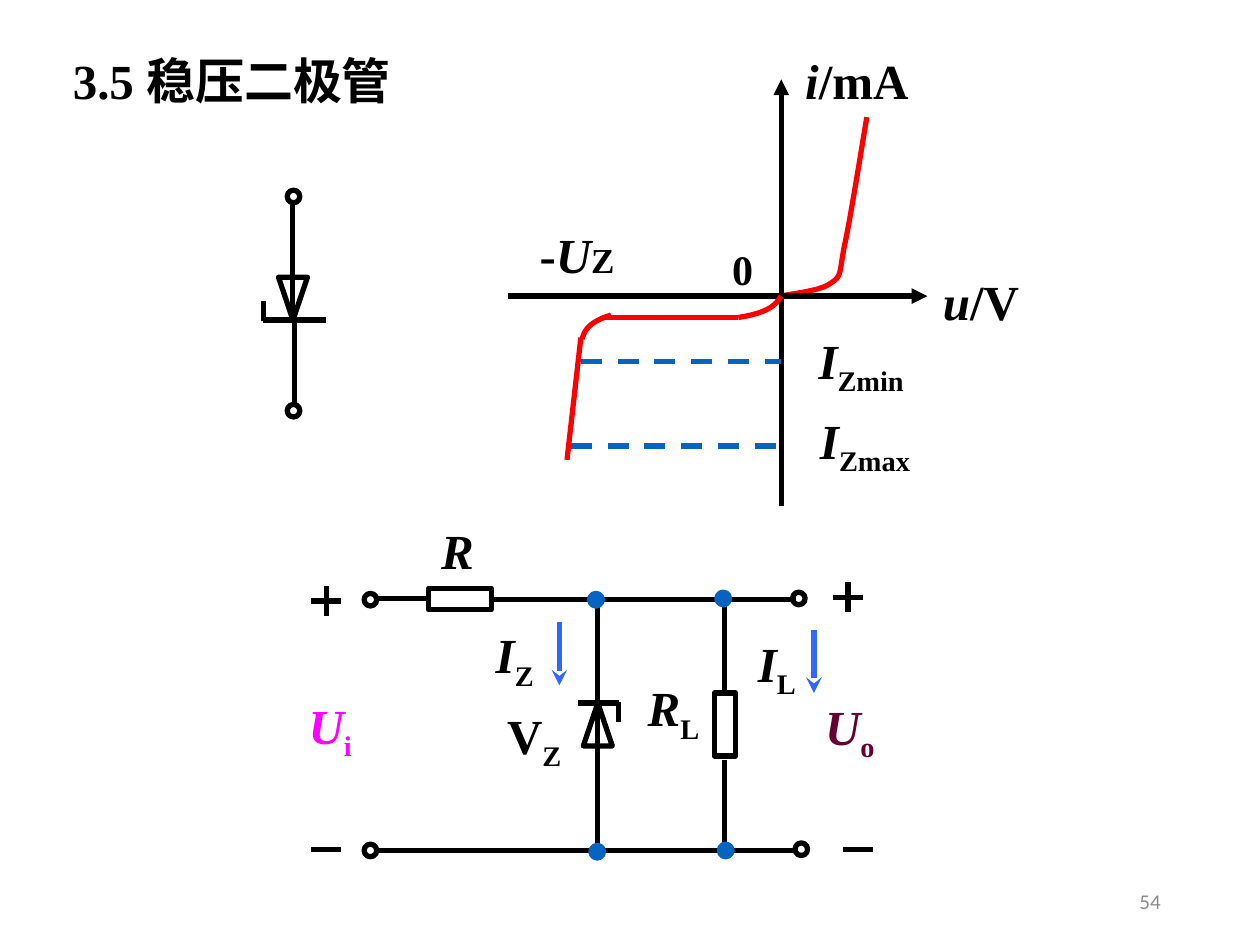
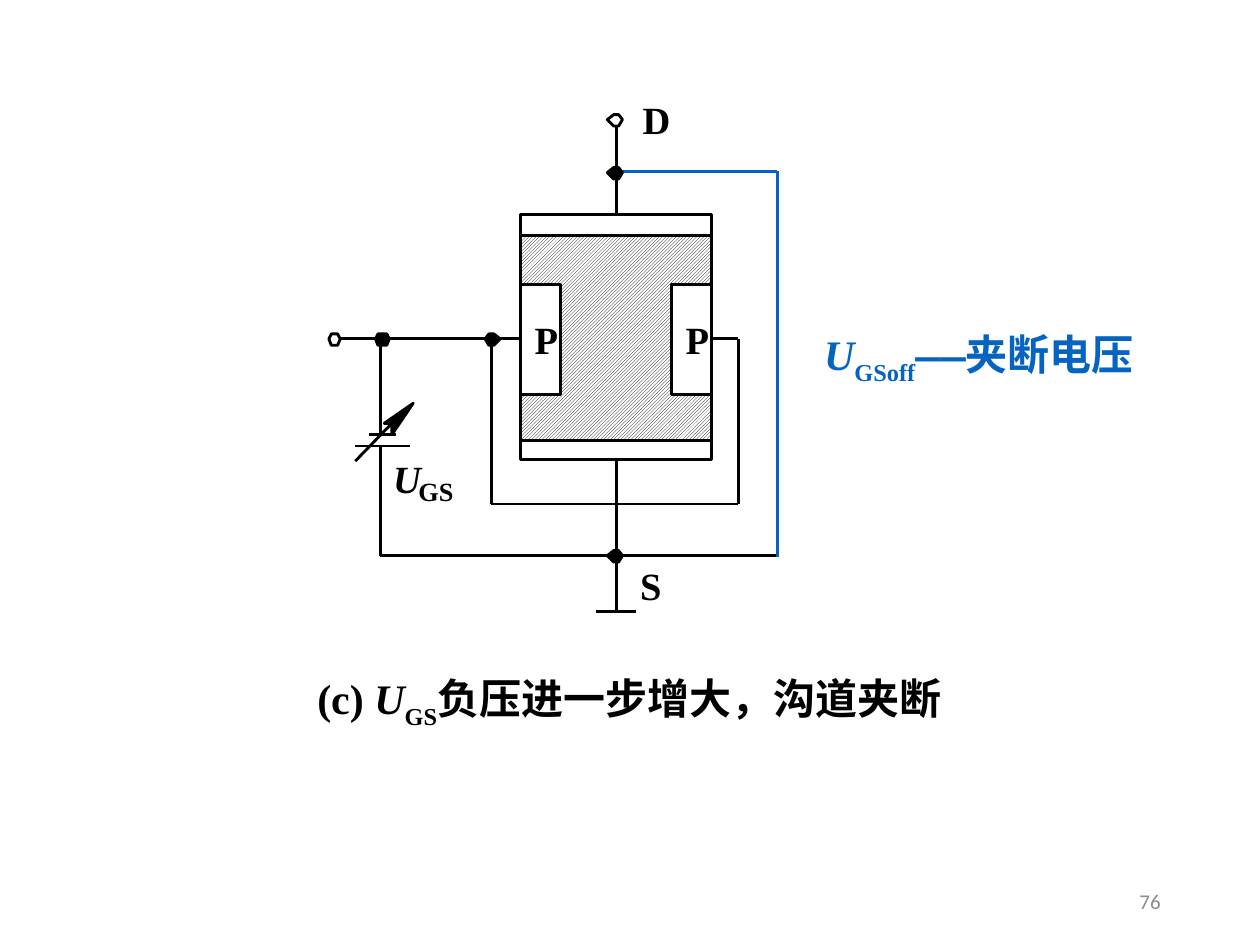
from dataclasses import dataclass

from lxml import etree
from pptx import Presentation
from pptx import util as u
from pptx.dml.color import RGBColor
from pptx.enum import dml, shapes, text
from pptx.oxml import ns

PX = 9144  # 100 px to the inch


@dataclass(frozen=True)
class Theme:
    ink: str = "000000"
    paper: str = "FFFFFF"
    accent: str = "0563C1"
    curve: str = "FF0000"
    current: str = "3366FF"
    input: str = "FF00FF"
    output: str = "660033"
    muted: str = "8C8C8C"
    serif: str = "Times New Roman"
    dash_font: str = "Courier New"
    sans: str = "Calibri"
    heading: int = 28
    body: int = 24
    pin: int = 22
    small: int = 20
    index: int = 15
    footer: int = 12
    bold_line: float = 3
    thin_line: float = 1.63
    link_line: float = 1.5


T = Theme()
ITALIC = {"italic": True}
SUB = {"baseline": -25000}
ALIGN = {"left": text.PP_ALIGN.LEFT, "center": text.PP_ALIGN.CENTER,
         "right": text.PP_ALIGN.RIGHT}


def rgb(color):
    return RGBColor.from_string(color)


def symbol(letter, index):
    """Runs of an italic quantity with a subscript."""
    return [(letter, ITALIC), (index, SUB)]


def bezier(start, *segments, steps=12):
    """Points along joined cubic curves, each given as x1, y1, x2, y2, x, y."""
    points = [start]
    for x1, y1, x2, y2, x3, y3 in segments:
        x0, y0 = points[-1]
        for t in (n / steps for n in range(1, steps + 1)):
            s = 1 - t
            weights = s ** 3, 3 * s * s * t, 3 * s * t * t, t ** 3
            points.append((sum(w * x for w, x in zip(weights, (x0, x1, x2, x3))),
                           sum(w * y for w, y in zip(weights, (y0, y1, y2, y3)))))
    return points


class Region:
    """A box on a slide; all drawing is relative to its top left corner."""

    def __init__(self, slide, box, weight=T.bold_line):
        self.shapes = slide.shapes
        self.left, self.top, self.width, self.height = box
        self.weight = weight

    def at(self, x, y):
        return round((self.left + x) * PX), round((self.top + y) * PX)

    def frame(self, x, y, w, h):
        return *self.at(x, y), w * PX, h * PX

    def stroke(self, item, color, weight=None):
        item.line.color.rgb = rgb(color)
        item.line.width = u.Pt(weight or self.weight)

    def wire(self, x1, y1, x2, y2, color=T.ink, weight=None, dash=None, arrow=None):
        line = self.shapes.add_connector(
            shapes.MSO_CONNECTOR.STRAIGHT, *self.at(x1, y1), *self.at(x2, y2))
        self.stroke(line, color, weight)
        if dash:
            line.line.dash_style = dash
        properties = line._element.spPr
        if arrow:
            etree.SubElement(properties.find(ns.qn("a:ln")), ns.qn("a:tailEnd"), type=arrow)
        etree.SubElement(properties, ns.qn("a:effectLst"))

    def finish(self, item, fill, color):
        item.shadow.inherit = False
        if fill:
            item.fill.solid()
            item.fill.fore_color.rgb = rgb(fill)
        else:
            item.fill.background()
        self.stroke(item, color)
        return item

    def shape(self, kind, x, y, w, h, fill=None, color=T.ink):
        item = self.shapes.add_shape(kind, *self.frame(x, y, w, h))
        return self.finish(item, fill, color)

    def rect(self, *box, fill=None):
        return self.shape(shapes.MSO_SHAPE.RECTANGLE, *box, fill=fill)

    def circle(self, x, y, fill=None):
        return self.shape(shapes.MSO_SHAPE.OVAL, x, y, 10, 10, fill, fill or T.ink)

    def outline(self, points, fill=None, color=T.ink, close=False):
        start, *rest = [self.at(*point) for point in points]
        builder = self.shapes.build_freeform(*start)
        builder.add_line_segments(rest, close=close)
        self.finish(builder.convert_to_shape(), fill, color)

    def node(self, xs, y, fill=T.ink):
        """Six-sided joint with corners at the four given x positions."""
        a, b, c, d = xs
        self.outline([(a, y), (b, y - 4), (c, y - 4), (d, y), (c, y + 5), (b, y + 5)],
                     fill, close=True)

    def zener(self, x, y, hook, end, up):
        """Zener symbol with its tip at x, y and a bar from hook to end."""
        side = 1 if up else -1
        body = self.shape(shapes.MSO_SHAPE.ISOSCELES_TRIANGLE,
                          x - 11, y if up else y - 34, 23, 34)
        body.rotation = 0 if up else 180
        self.wire(hook, y, end, y)
        self.wire(hook, y - side, hook, y + side * 15)

    def label(self, x, y, w, h, runs, size=T.heading, color=T.ink, font=T.serif,
              bold=True, align="center", anchor="MIDDLE", wrap=False, inset=None,
              spacing=None, grow=True):
        box = self.shapes.add_textbox(*self.frame(x, y, w, h)).text_frame
        layout = {"word_wrap": wrap, "vertical_anchor": text.MSO_ANCHOR[anchor]}
        if grow:
            layout["auto_size"] = text.MSO_AUTO_SIZE.SHAPE_TO_FIT_TEXT
        if inset is not None:
            layout |= {f"margin_{side}": inset for side in ("left", "top", "right", "bottom")}
        for name, value in layout.items():
            setattr(box, name, value)
        paragraph = box.paragraphs[0]
        paragraph.alignment = ALIGN[align]
        if spacing:
            paragraph.line_spacing = spacing
        for words, changes in [(runs, {})] if isinstance(runs, str) else runs:
            run = paragraph.add_run()
            run.text = words
            run.font.color.rgb = rgb(color)
            look = {"name": font, "size": u.Pt(size), "bold": bold} | changes
            baseline = look.pop("baseline", None)
            for name, value in look.items():
                setattr(run.font, name, value)
            if baseline:
                run._r.get_or_add_rPr().set("baseline", str(baseline))


def title(slide, box, words):
    region = Region(slide, box)
    region.label(0, 0, region.width, region.height, words,
                 align="left", anchor="TOP", wrap=True)


def page_number(slide, number):
    Region(slide, (706, 695, 225, 40)).label(
        0, 0, 225, 40, str(number), T.footer, T.muted, T.sans, bold=False,
        align="right", wrap=True, grow=False)


def zener_symbol(slide, box):
    region = Region(slide, box)
    region.wire(23, 12, 23, 103)
    region.wire(25, 103, 25, 172)
    region.zener(23, 103, hook=0, end=region.width, up=False)
    for y in (170, 0):
        region.circle(19, y)


def characteristic(slide, box):
    """Current against voltage, the box holding both axes."""
    region = Region(slide, box)
    zero_x, zero_y = 217, 172
    region.outline(bezier((285, 30), (282, 47, 272, 111, 267, 133),
                          (263, 155, 265, 156, 256, 162),
                          (248, 168, 225, 170, zero_x, zero_y)), color=T.curve)
    region.wire(0, zero_y, region.width, zero_y, arrow="triangle")
    region.wire(zero_x, region.height, zero_x, 0, arrow="triangle")
    region.outline(bezier((zero_x, zero_y), (213, 178, 209, 185, 183, 189)), color=T.curve)
    region.wire(183, 189, 75, 189, T.curve)
    region.outline(bezier((59, 206), (61, 200, 63, 193, 82, 187)), color=T.curve)
    region.wire(58, 205, 47, 302, T.curve)
    for x, y in ((58, 224), (50, 291)):
        region.wire(x, y, zero_x, y, T.accent, dash=dml.MSO_LINE.DASH)
    region.label(226, -28, 102, 57, [("i", ITALIC), ("/mA", {})])
    region.label(335, 147, 81, 57, [("u", ITALIC), ("/V", {})])
    region.label(232, 197, 97, 57, symbol("I", "Zmin"))
    region.label(233, 261, 101, 57, symbol("I", "Zmax"))
    region.label(168, 125, 37, 50, "0", T.body)
    region.label(15, 110, 80, 57, [("-", {}), ("U", ITALIC), ("Z", {"size": u.Pt(T.small)})])


def regulator_circuit(slide, box):
    region = Region(slide, box)
    for ends in ((156, 68, 398, 68), (65, 267, 398, 267), (106, 67, 65, 67),
                 (240, 267, 240, 67), (341, 142, 341, 67), (341, 195, 341, 267)):
        region.wire(*ends)
    region.rect(106, 59, 50, 17)
    region.rect(333, 142, 17, 50)
    for x, y in ((412, 92), (210, 86)):
        region.wire(x, y, x, y + 50, T.current, arrow="stealth")
    region.zener(240, 150, hook=257, end=225, up=True)
    for x, plus_y in ((13, 69), (427, 66)):
        region.wire(x, plus_y, x + 24, plus_y)
        region.wire(x + 12, plus_y - 12, x + 12, plus_y + 12)
    for x in (13, 435):
        region.wire(x, 266, x + 24, 266)
    for spot in ((397, 261), (395, 62), (55, 262), (55, 63)):
        region.circle(*spot)
    for spot in ((235, 263), (337, 262), (234, 63), (335, 62)):
        region.circle(*spot, T.accent)
    for x, y, w, runs, color in (
            (106, 0, 46, [("R", ITALIC)], T.ink),
            (356, 93, 53, symbol("I", "L"), T.ink),
            (148, 86, 53, symbol("I", "Z"), T.ink),
            (157, 150, 66, [("V", {}), ("Z", SUB)], T.ink),
            (269, 128, 63, symbol("R", "L"), T.ink),
            (0, 142, 56, symbol("U", "i"), T.input),
            (410, 143, 61, symbol("U", "o"), T.output)):
        region.label(x, y, w, 57, runs, color=color)


def transistor(slide, box):
    """Field-effect transistor with its gate supply and blue drain link."""
    region = Region(slide, box, T.thin_line)
    axis, gate_y, source_y = (221, 226, 230, 233), 193, 365
    region.wire(232, 60, 356, 60, T.accent, T.link_line)
    region.wire(228, 19, 228, 409)
    region.wire(9, gate_y, 325, gate_y)
    region.rect(152, 94, 152, 195, fill=T.paper)
    for ends in ((325, 324, 129, 324), (325, gate_y, 325, 324), (129, gate_y, 129, 324),
                 (357, source_y, 41, source_y), (244, 409, 212, 409)):
        region.wire(*ends)
    hatch = region.rect(152, 111, 152, 163).fill
    hatch.patterned()
    hatch.pattern = dml.MSO_PATTERN.LIGHT_UPWARD_DIAGONAL
    hatch.fore_color.rgb, hatch.back_color.rgb = rgb(T.ink), rgb(T.paper)
    for x in (152, 272):
        region.rect(x, 150, 32, 87, fill=T.paper)
    for xs, y, fill in ((axis, 19, T.paper), ((0, 2, 7, 9), gate_y, T.paper),
                        ((124, 127, 131, 136), gate_y, T.ink),
                        ((37, 39, 46, 48), gate_y, T.ink),
                        (axis, source_y, T.ink), (axis, 61, T.ink)):
        region.node(xs, y, fill)
    region.wire(41, gate_y, 41, source_y)
    region.wire(41, 269, 41, 278, T.paper)
    region.wire(32, 269, 53, 269)
    region.wire(21, 278, 64, 278)
    region.outline([(50, 269), (50, 260), (44, 260), (67, 244)], T.ink, close=True)
    region.wire(50, 260, 21, 290)
    region.wire(356, 366, 356, 60, T.accent, T.link_line)
    for x, y, w, h, runs, size in (
            (249, 0, 22, 37, "D", T.pin), (247, 370, 17, 37, "S", T.pin),
            (163, 175, 19, 37, "P", T.pin), (283, 175, 19, 37, "P", T.pin),
            (51, 285, 22, 37, [("U", ITALIC)], T.pin), (71, 301, 28, 25, "GS", T.index)):
        region.label(x, y, w, h, runs, size, anchor="TOP", inset=0)


def pinch_off_note(slide, box):
    region = Region(slide, box)
    runs = symbol("U", "GSoff") + [("——", {"name": T.dash_font}), ("夹断电压", {})]
    region.label(0, 0, region.width, region.height, runs, T.body, T.accent, anchor="TOP")


def caption(slide, box):
    region = Region(slide, box)
    runs = [("(c) ", {})] + symbol("U", "GS") + [("负压进一步增大，沟道夹断", {})]
    region.label(0, 0, region.width, region.height, runs, T.body,
                 align="left", anchor="TOP", wrap=True, spacing=1.2)


def main():
    deck = Presentation()
    deck.slide_width, deck.slide_height = 1000 * PX, 750 * PX
    blank = deck.slide_layouts[6]

    diode = deck.slides.add_slide(blank)
    title(diode, (48, 35, 616, 57), "3.5 稳压二极管")
    zener_symbol(diode, (209, 151, 50, 180))
    characteristic(diode, (403, 63, 333, 339))
    regulator_circuit(diode, (234, 408, 471, 273))
    page_number(diode, 54)

    pinch_off = deck.slides.add_slide(blank)
    transistor(pinch_off, (261, 76, 357, 409))
    pinch_off_note(pinch_off, (640, 256, 274, 50))
    caption(pinch_off, (242, 520, 590, 58))
    page_number(pinch_off, 76)

    deck.save("out.pptx")


if __name__ == "__main__":
    main()
